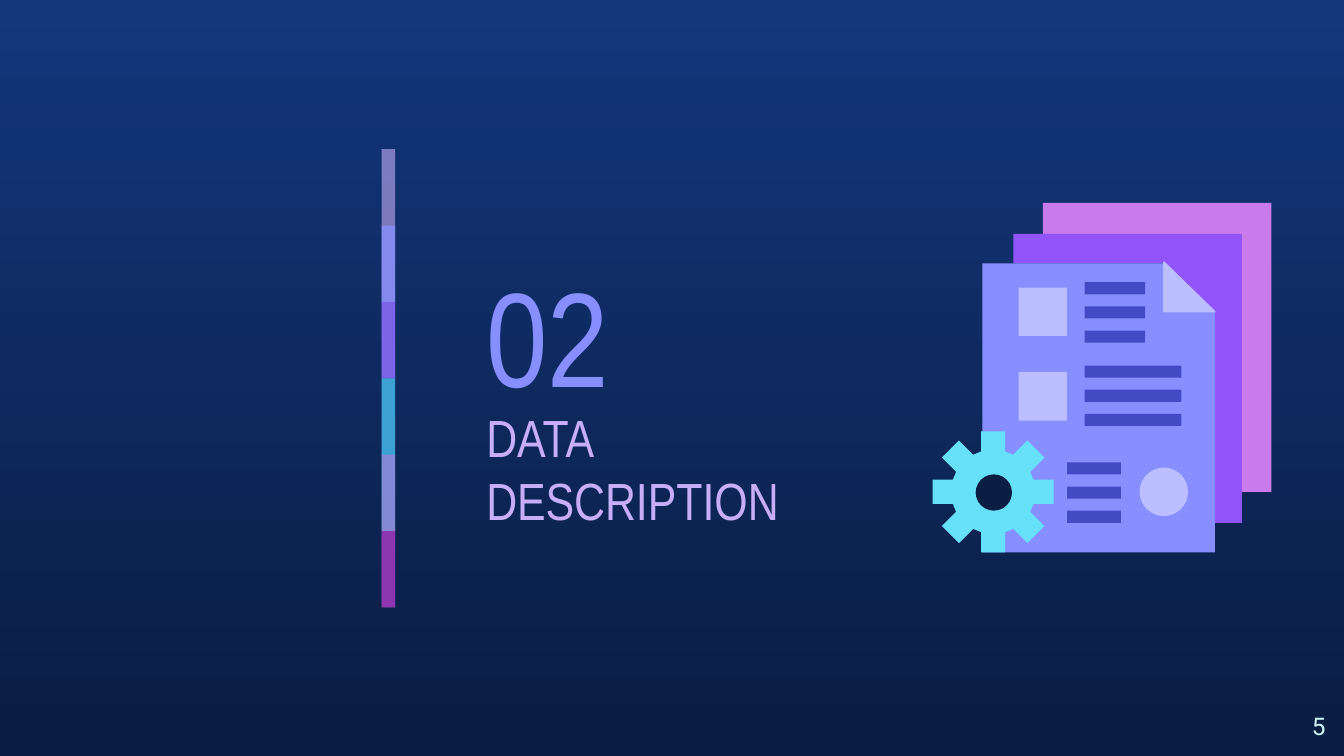
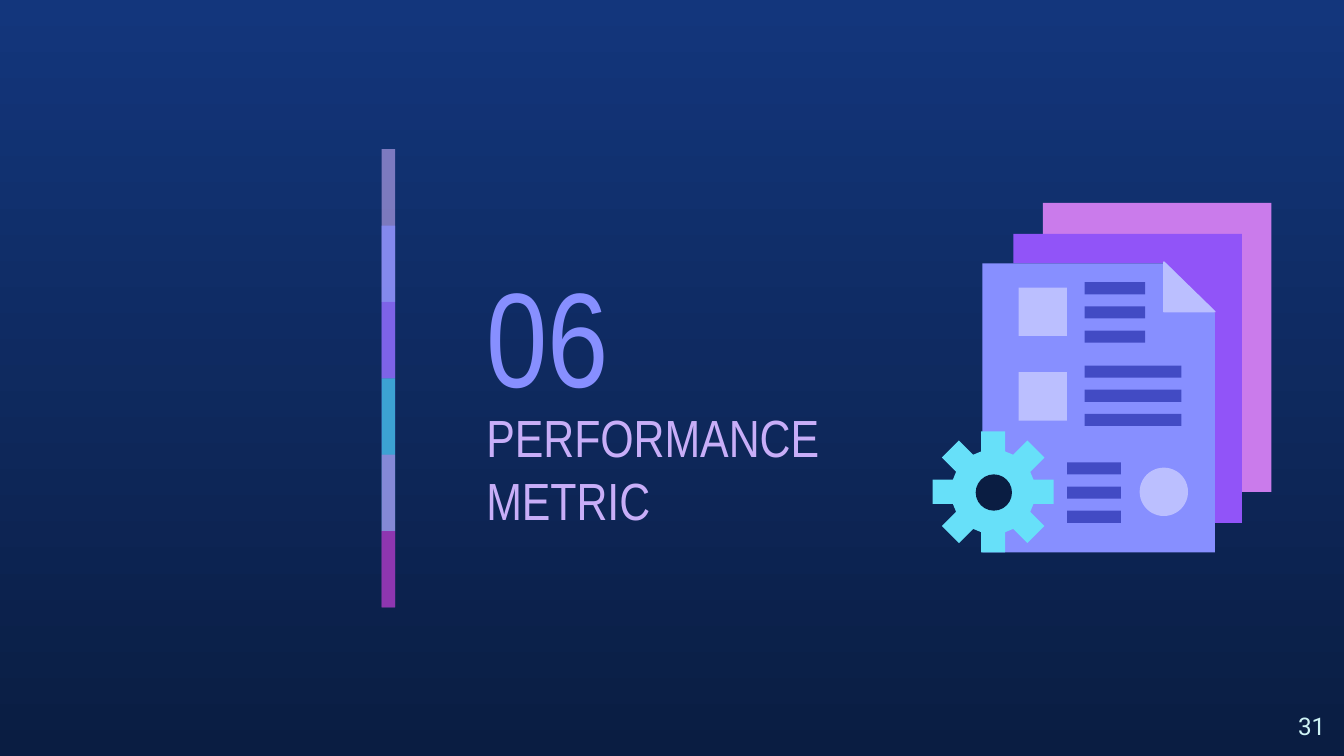
from dataclasses import dataclass
from math import cos, radians, sin
from typing import Optional

from lxml import etree
from pptx import Presentation
from pptx.dml.color import RGBColor
from pptx.enum.shapes import MSO_SHAPE
from pptx.enum.text import MSO_ANCHOR, PP_ALIGN
from pptx.oxml.ns import qn
from pptx.util import Inches, Pt

RECTANGLE = MSO_SHAPE.RECTANGLE
OVAL = MSO_SHAPE.OVAL
TOP, MIDDLE = MSO_ANCHOR.TOP, MSO_ANCHOR.MIDDLE
LEFT, RIGHT = PP_ALIGN.LEFT, PP_ALIGN.RIGHT

SLIDE_WIDTH = 10
SLIDE_HEIGHT = SLIDE_WIDTH * 9 / 16

TITLE_FONT = "Arial Narrow"
NUMBER_FONT = "Roboto"
SKY, NAVY = "13367C", "0A1D42"
LILAC, PERIWINKLE, VIOLET = "C8AEF8", "878FFF", "9154F8"
TEAL, ORCHID, PURPLE = "35C2DF", "CA7BEB", "972CB4"
CYAN, PALE, INDIGO, ICE = "67E0F9", "BBBFFF", "424BC4", "CEF3F5"

Points = list[tuple[float, float]]


@dataclass(frozen=True)
class Section:
    number: str
    title: str
    page: str


@dataclass(frozen=True)
class Band:
    color: str
    opacity: int


@dataclass(frozen=True)
class Sheet:
    color: str
    outline: Points
    line: Optional[str] = None


@dataclass(frozen=True)
class Mark:
    kind: int
    left: float
    top: float
    size: float
    color: str


@dataclass(frozen=True)
class TextLines:
    left: float
    top: float
    width: float


SECTIONS = [
    Section("02", "DATA DESCRIPTION", "5"),
    Section("06", "PERFORMANCE\nMETRIC", "31"),
]

BANDS = [
    Band(LILAC, 59), Band(PERIWINKLE, 74), Band(VIOLET, 53),
    Band(TEAL, 76), Band(ORCHID, 56), Band(PURPLE, 74),
]
BAND_LEFT, BAND_TOP, BAND_WIDTH, STRIP_HEIGHT = 2.84, 1.11, 0.1, 3.41
BAND_STEP = STRIP_HEIGHT / len(BANDS)

SHEETS = [
    Sheet(ORCHID, [(7.76, 1.51), (7.76, 1.74), (9.24, 1.74),
                   (9.24, 3.66), (9.46, 3.66), (9.46, 1.51)]),
    Sheet(VIOLET, [(7.54, 1.74), (7.54, 1.96), (8.66, 1.96), (9.01, 2.32),
                   (9.01, 3.89), (9.24, 3.89), (9.24, 1.74)]),
    Sheet(PERIWINKLE, [(7.31, 1.96), (7.31, 4.11), (9.04, 4.11),
                       (9.04, 2.33), (8.68, 1.96)]),
]
FOLD = Sheet(PALE, [(8.66, 1.95), (8.66, 2.32), (9.04, 2.32)], PALE)

GEAR_X, GEAR_Y, GEAR_TEETH = 7.39, 3.66, 8
TOOTH = [(-0.09, -0.3), (-0.09, -0.45), (0.09, -0.45), (0.09, -0.3)]

MARKS = [
    Mark(OVAL, 7.26, 3.53, 0.27, NAVY),
    Mark(RECTANGLE, 7.58, 2.14, 0.36, PALE),
    Mark(RECTANGLE, 7.58, 2.77, 0.36, PALE),
    Mark(OVAL, 8.48, 3.48, 0.36, PALE),
]
LINE_BLOCKS = [
    TextLines(8.07, 2.1, 0.45),
    TextLines(8.07, 2.72, 0.72),
    TextLines(7.94, 3.44, 0.4),
]
LINES_PER_BLOCK, LINE_STEP, LINE_HEIGHT = 3, 0.18, 0.09


def rgb(color: str) -> RGBColor:
    return RGBColor.from_string(color)


def paint(shape, color: str, opacity: int = 100, line: Optional[str] = None) -> None:
    shape.shadow.inherit = False
    shape.fill.solid()
    shape.fill.fore_color.rgb = rgb(color)
    if opacity < 100:
        fill_color = shape.element.spPr.find(f".//{qn('a:srgbClr')}")
        etree.SubElement(fill_color, qn("a:alpha"), val=str(opacity * 1000))
    if line:
        shape.line.color.rgb = rgb(line)
        shape.line.width = Pt(0.75)
    else:
        shape.line.fill.background()


def add_block(shapes, kind: int, left: float, top: float, width: float,
              height: float, color: str, opacity: int = 100) -> None:
    shape = shapes.add_shape(kind, Inches(left), Inches(top),
                             Inches(width), Inches(height))
    paint(shape, color, opacity)


def add_sheet(shapes, sheet: Sheet) -> None:
    start, *others = [(Inches(x), Inches(y)) for x, y in sheet.outline]
    builder = shapes.build_freeform(*start)
    builder.add_line_segments(others, close=True)
    paint(builder.convert_to_shape(), sheet.color, line=sheet.line)


def add_text(slide, text: str, left: float, top: float, width: float, height: float,
             *, size: float, color: str, font: str = TITLE_FONT,
             align: int = LEFT, anchor: int = MIDDLE) -> None:
    box = slide.shapes.add_textbox(Inches(left), Inches(top),
                                   Inches(width), Inches(height))
    frame = box.text_frame
    frame.word_wrap = True
    frame.vertical_anchor = anchor
    frame.margin_left = frame.margin_right = Inches(0.1)
    frame.margin_top = frame.margin_bottom = Inches(0.1)
    frame.text = text
    for paragraph in frame.paragraphs:
        paragraph.alignment = align
        for run in paragraph.runs:
            run.font.name = font
            run.font.size = Pt(size)
            run.font.color.rgb = rgb(color)


def gear_outline() -> Points:
    outline = []
    for tooth in range(GEAR_TEETH):
        angle = radians(tooth * 360 / GEAR_TEETH)
        outline += [(GEAR_X + x * cos(angle) - y * sin(angle),
                     GEAR_Y + x * sin(angle) + y * cos(angle)) for x, y in TOOTH]
    return outline


def add_background(slide) -> None:
    fill = slide.background.fill
    fill.gradient()
    fill.gradient_angle = 270
    for stop, color in zip(fill.gradient_stops, (SKY, NAVY)):
        stop.color.rgb = rgb(color)


def add_color_strip(slide) -> None:
    # Each band reaches under the next one, except the last
    shapes = slide.shapes.add_group_shape().shapes
    for index, band in enumerate(BANDS):
        steps = 1 if index == len(BANDS) - 1 else 2
        add_block(shapes, RECTANGLE, BAND_LEFT, BAND_TOP + index * BAND_STEP,
                  BAND_WIDTH, steps * BAND_STEP, band.color, band.opacity)


def add_documents_icon(slide) -> None:
    shapes = slide.shapes.add_group_shape().shapes
    # Stacked sheets and gear
    for sheet in [*SHEETS, Sheet(CYAN, gear_outline())]:
        add_sheet(shapes, sheet)
    # Gear hole, squares and dot
    for mark in MARKS:
        add_block(shapes, mark.kind, mark.left, mark.top, mark.size, mark.size, mark.color)
    # Lines of writing
    for block in LINE_BLOCKS:
        for index in range(LINES_PER_BLOCK):
            add_block(shapes, RECTANGLE, block.left, block.top + index * LINE_STEP,
                      block.width, LINE_HEIGHT, INDIGO)
    # Folded corner
    add_sheet(shapes, FOLD)


def add_section_slide(presentation, section: Section) -> None:
    slide = presentation.slides.add_slide(presentation.slide_layouts[6])
    add_background(slide)
    add_color_strip(slide)
    add_text(slide, section.number, 3.52, 1.81, 1.75, 1.35, size=72, color=PERIWINKLE)
    add_text(slide, section.title, 3.52, 3.15, 2.87, 0.67, size=28, color=LILAC)
    add_documents_icon(slide)
    add_text(slide, section.page, 9.36, 5.19, 0.6, 0.43, size=13, color=ICE,
             font=NUMBER_FONT, align=RIGHT, anchor=TOP)


def main() -> None:
    presentation = Presentation()
    presentation.slide_width = Inches(SLIDE_WIDTH)
    presentation.slide_height = Inches(SLIDE_HEIGHT)
    for section in SECTIONS:
        add_section_slide(presentation, section)
    presentation.save("out.pptx")


if __name__ == "__main__":
    main()
